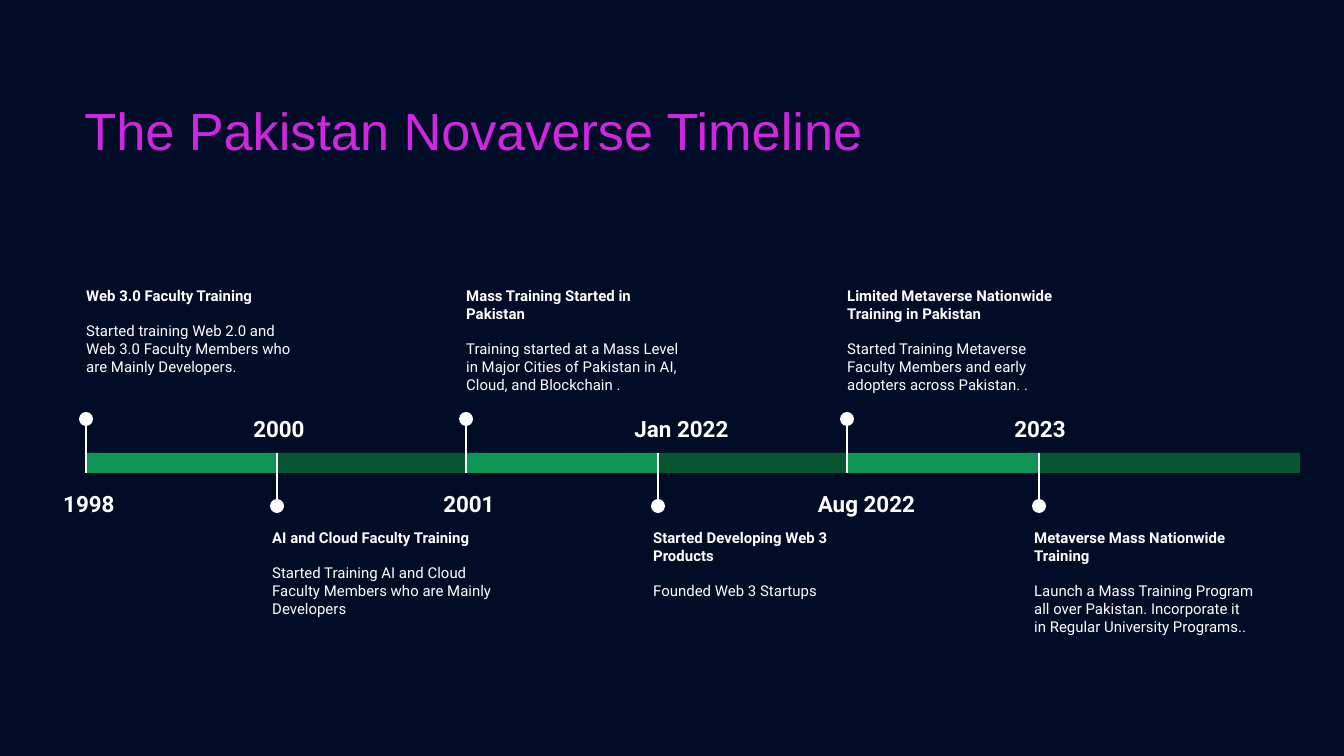
from dataclasses import dataclass

import pptx
import pptx.dml.color
import pptx.enum.shapes
import pptx.enum.text
import pptx.oxml
import pptx.oxml.ns
import pptx.util


@dataclass(frozen=True)
class Theme:
    background: str = "010D26"
    title: str = "D026E1"
    text: str = "FFFFFF"
    bar_light: str = "0E9453"
    bar_dark: str = "085631"
    title_font: str = "Arial"
    body_font: str = "Roboto"
    title_size: int = 28
    year_size: int = 12
    body_size: int = 8
    stem_width: float = 0.75


@dataclass(frozen=True)
class Box:
    left: int
    top: int
    width: int
    height: int


@dataclass(frozen=True)
class Milestone:
    year: str
    year_offset: int
    year_width: int
    heading: str
    detail: str


THEME = Theme()
PX_PER_INCH = 134.4
PAGE = Box(0, 0, 1344, 756)
TITLE = Box(71, 87, 1153, 85)
TIMELINE = Box(87, 273, 1213, 380)
BAR_TOP, BAR_HEIGHT = 180, 20
SPAN_OF_FIVE = 952
DOT = 14

MILESTONES = [
    Milestone("1998", -49, 102, "Web 3.0 Faculty Training",
              "Started training Web 2.0 and Web 3.0 Faculty Members who are Mainly Developers."),
    Milestone("2000", -53, 110, "AI and Cloud Faculty Training",
              "Started Training AI and Cloud Faculty Members who are Mainly Developers"),
    Milestone("2001", -49, 102, "Mass Training Started in Pakistan",
              "Training started at a Mass Level in Major Cities of Pakistan in AI, Cloud, and Blockchain ."),
    Milestone("Jan 2022", -55, 157, "Started Developing Web 3 Products",
              "Founded Web 3 Startups"),
    Milestone("Aug 2022", -54, 145, "Limited Metaverse Nationwide Training in Pakistan",
              "Started Training Metaverse Faculty Members and early adopters across Pakistan. ."),
    Milestone("2023", -54, 110, "Metaverse Mass Nationwide Training",
              "Launch a Mass Training Program all over Pakistan. Incorporate it in Regular University Programs.."),
]


def px(length):
    return pptx.util.Inches(length / PX_PER_INCH)


def place(box):
    return px(box.left), px(box.top), px(box.width), px(box.height)


def color(value):
    return pptx.dml.color.RGBColor.from_string(value)


def style(para, font, size, fill, bold=False):
    for span in para.runs:
        span.font.name = font
        span.font.size = pptx.util.Pt(size)
        span.font.color.rgb = color(fill)
        span.font.bold = bold


def set_frame(frame):
    frame.word_wrap = True
    frame.auto_size = pptx.enum.text.MSO_AUTO_SIZE.NONE
    frame.margin_left = frame.margin_right = pptx.util.Inches(0.1)
    frame.margin_top = frame.margin_bottom = pptx.util.Inches(0.1)


def add_text(group, box, text):
    frame = group.shapes.add_textbox(*place(box)).text_frame
    set_frame(frame)
    frame.text = text
    return frame


def add_solid(group, kind, box, fill):
    shape = group.shapes.add_shape(kind, *place(box))
    shape.shadow.inherit = False
    shape.fill.solid()
    shape.fill.fore_color.rgb = color(fill)
    shape.line.fill.background()


def add_stem(group, x, start, end):
    stem = group.shapes.add_connector(
        pptx.enum.shapes.MSO_CONNECTOR.STRAIGHT, px(x), px(start), px(x), px(end))
    stem.line.color.rgb = color(THEME.text)
    stem.line.width = pptx.util.Pt(THEME.stem_width)
    properties = stem.element.find(pptx.oxml.ns.qn("p:spPr"))
    properties.append(pptx.oxml.parse_xml(
        f"<a:effectLst {pptx.oxml.ns.nsdecls('a')}/>"))


def add_year(group, box, text):
    para = add_text(group, box, text).paragraphs[0]
    para.alignment = pptx.enum.text.PP_ALIGN.CENTER
    para.line_spacing = 1.15
    style(para, THEME.body_font, THEME.year_size, THEME.text, bold=True)


def add_story(group, box, milestone):
    frame = add_text(group, box, milestone.heading)
    heading = frame.paragraphs[0]
    heading.space_after = pptx.util.Pt(9.5)
    style(heading, THEME.body_font, THEME.body_size, THEME.text, bold=True)
    detail = frame.add_paragraph()
    detail.text = milestone.detail
    style(detail, THEME.body_font, THEME.body_size, THEME.text)


def add_milestone(page, box, milestone, story_above):
    group = page.shapes.add_group_shape()
    group.name = f"Milestone {milestone.year}"
    bar_top = box.top + BAR_TOP
    bar_bottom = bar_top + BAR_HEIGHT
    if story_above:
        fill, stem_start, stem_end = THEME.bar_light, bar_bottom, bar_top - 34
        year_top, story_left, story_top = bar_bottom, box.left - 14, box.top
    else:
        fill, stem_start, stem_end = THEME.bar_dark, bar_top, bar_bottom + 33
        year_top, story_left, story_top = bar_top - 55, box.left - 18, bar_bottom + 42

    shapes = pptx.enum.shapes.MSO_SHAPE
    add_solid(group, shapes.RECTANGLE,
              Box(box.left, bar_top, box.width, BAR_HEIGHT), fill)
    stem_x = box.left - 1 if story_above else box.left
    add_stem(group, stem_x, stem_start, stem_end)
    add_solid(group, shapes.OVAL,
              Box(stem_x - DOT // 2, stem_end - DOT // 2, DOT, DOT), THEME.text)
    add_year(group, Box(box.left + milestone.year_offset, year_top,
                        milestone.year_width, 55), milestone.year)
    add_story(group, Box(story_left, story_top, 247, 138), milestone)


def add_timeline(page, box):
    last = len(MILESTONES) - 1
    edges = [box.left + index * SPAN_OF_FIVE // last for index in range(last + 1)]
    edges.append(box.left + box.width)
    for index, milestone in enumerate(MILESTONES):
        left, right = edges[index:index + 2]
        add_milestone(page, Box(left, box.top, right - left, box.height),
                      milestone, story_above=index % 2 == 0)


def add_title(page, box):
    title = page.shapes.title
    title.left, title.top, title.width, title.height = place(box)
    frame = title.text_frame
    set_frame(frame)
    frame.vertical_anchor = pptx.enum.text.MSO_ANCHOR.MIDDLE
    frame.text = "The Pakistan Novaverse Timeline"
    para = frame.paragraphs[0]
    para.alignment = pptx.enum.text.PP_ALIGN.LEFT
    style(para, THEME.title_font, THEME.title_size, THEME.title)


def main():
    deck = pptx.Presentation()
    deck.slide_width, deck.slide_height = px(PAGE.width), px(PAGE.height)
    page = deck.slides.add_slide(deck.slide_layouts[5])
    page.background.fill.solid()
    page.background.fill.fore_color.rgb = color(THEME.background)
    add_title(page, TITLE)
    add_timeline(page, TIMELINE)
    deck.save("out.pptx")


if __name__ == "__main__":
    main()
